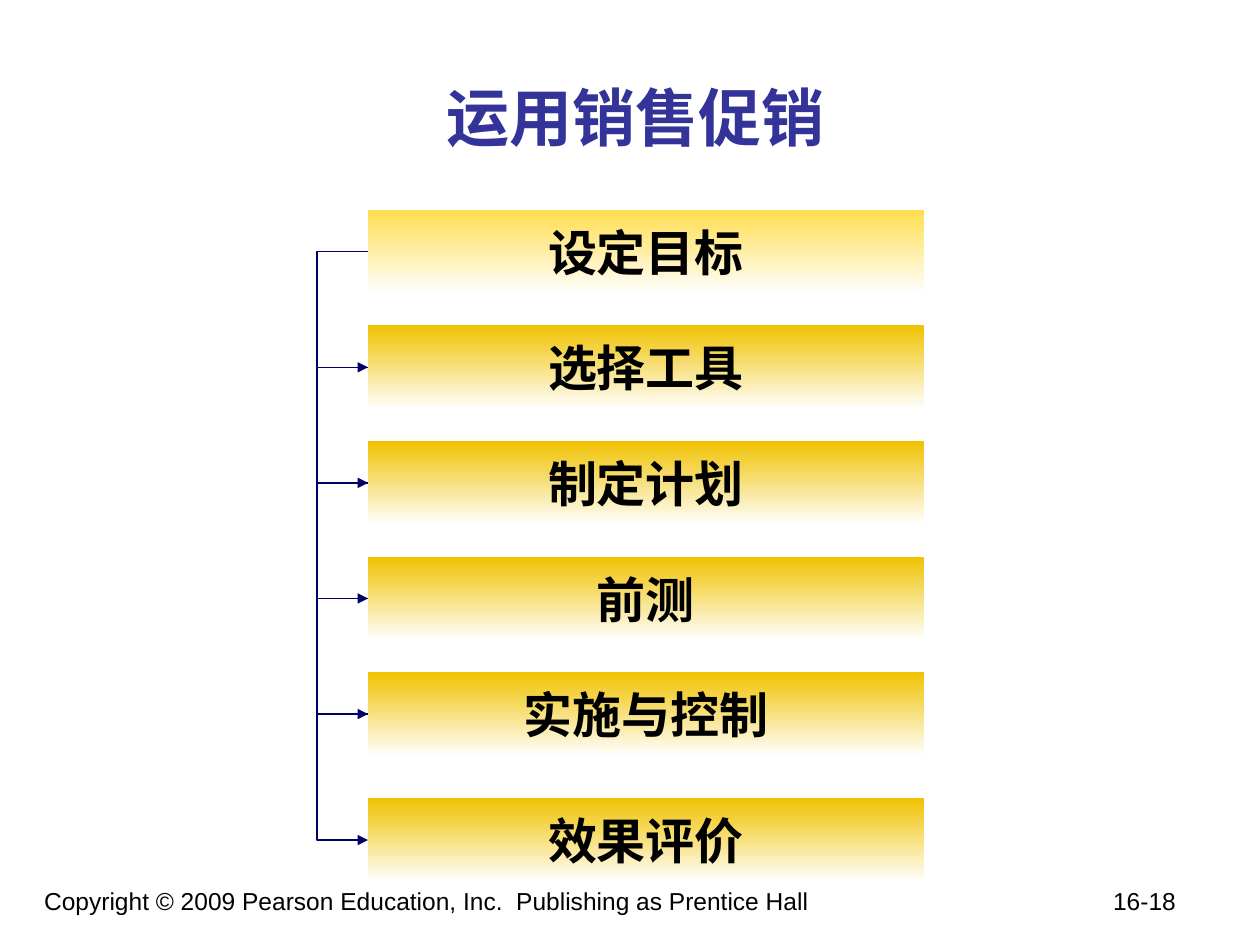
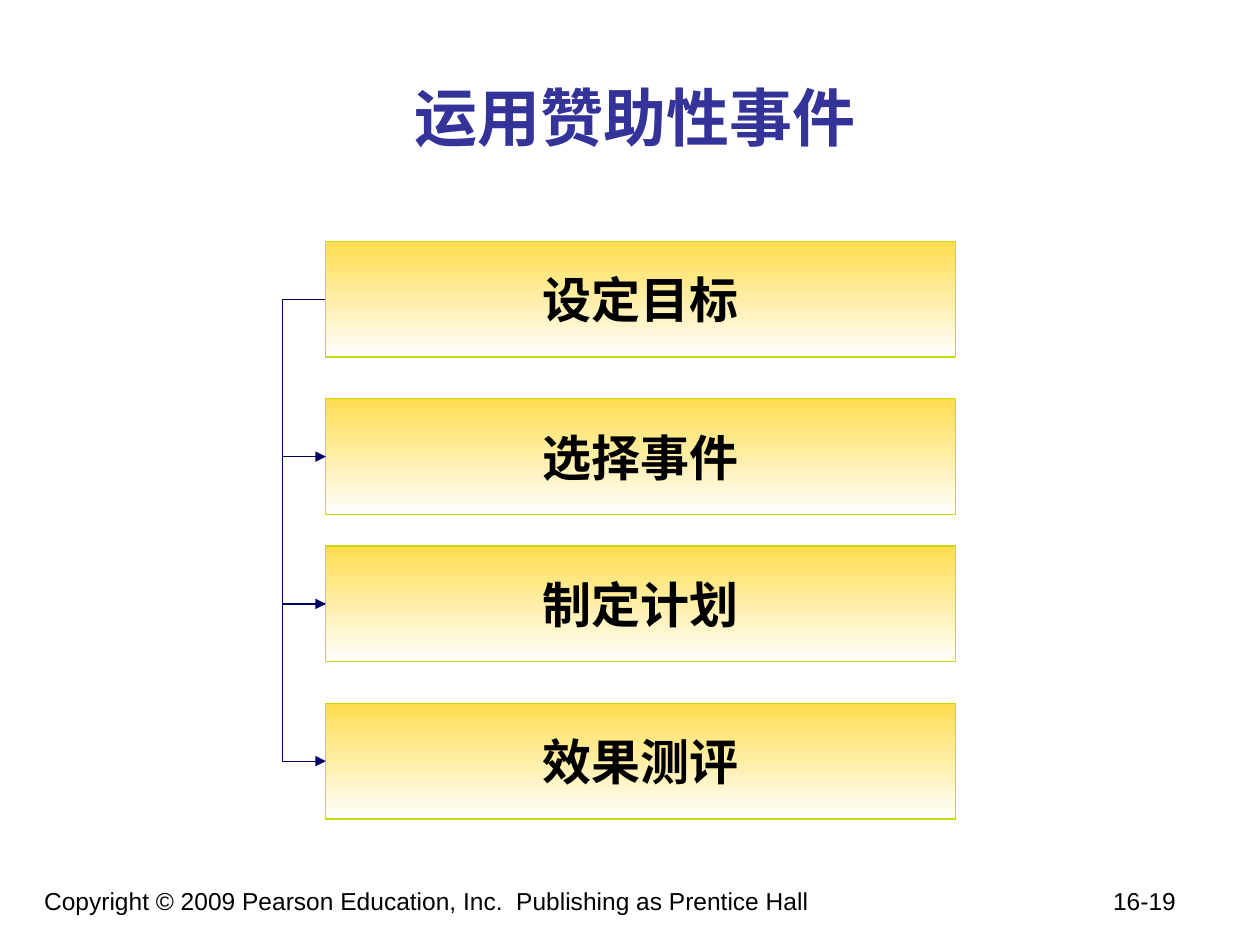
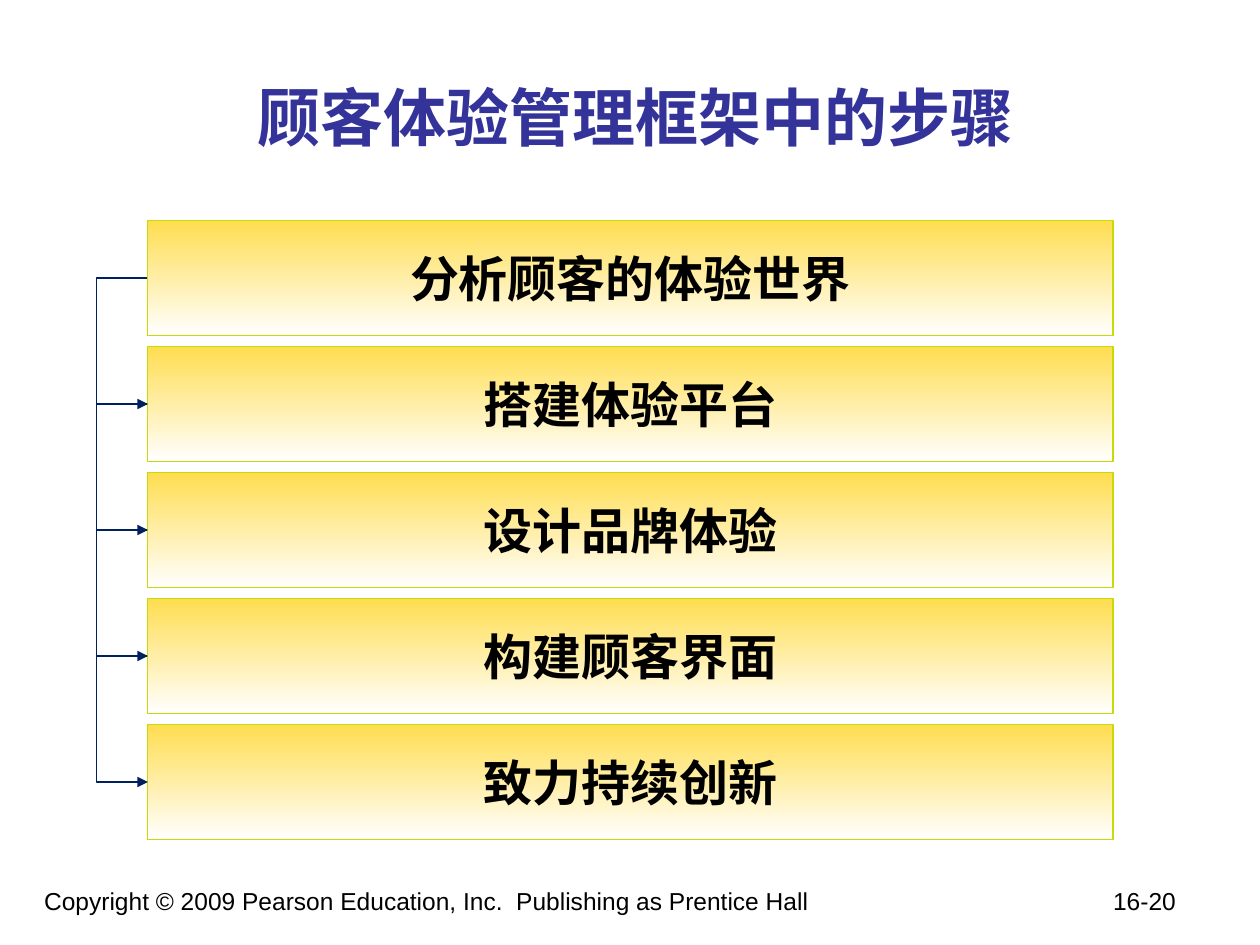
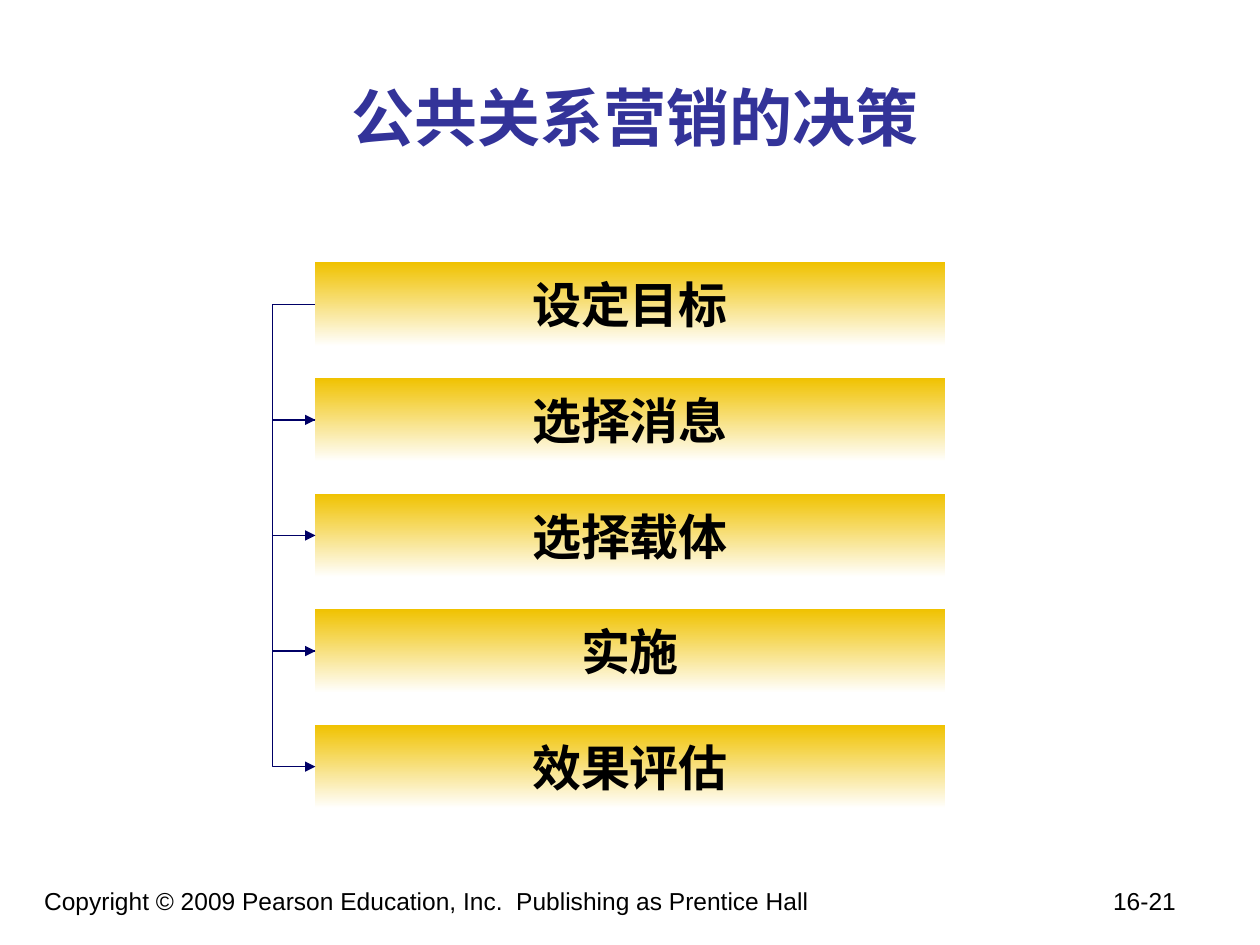
import pptx
import pptx.dml.color
import pptx.enum.shapes
import pptx.enum.text
import pptx.oxml
import pptx.oxml.ns
import pptx.util

Cm = pptx.util.Cm
Pt = pptx.util.Pt
RGBColor = pptx.dml.color.RGBColor
PP_ALIGN = pptx.enum.text.PP_ALIGN
MSO_ANCHOR = pptx.enum.text.MSO_ANCHOR

TITLE_BLUE = RGBColor(0x33, 0x33, 0x99)
BLACK = RGBColor(0, 0, 0)
WHITE = RGBColor(0xFF, 0xFF, 0xFF)
LIGHT_YELLOW = RGBColor(0xFF, 0xDD, 0x4F)
GOLD = RGBColor(0xF0, 0xC2, 0x00)
LIME = RGBColor(0xC7, 0xDB, 0x07)
NAVY = RGBColor(0x00, 0x00, 0x66)
DARK_BLUE = RGBColor(0x00, 0x20, 0x60)

LATIN_FONT = "Arial"
CJK_FONT = "Noto Sans CJK SC"
FOOTER = "Copyright © 2009 Pearson Education, Inc.  Publishing as Prentice Hall"
CHAPTER, FIRST_PAGE = 16, 18
PAGE_TAB = Cm(21.55)
LINE_WIDTH = Pt(0.75)
LEFT_SITE = 1
HALF_TURN = {"rot": "10800000", "flipH": "1", "flipV": "1"}


def stack(top, step, count):
    return [top + step * i for i in range(count)]


SLIDES = [
    {
        "title": "运用销售促销",
        "steps": ["设定目标", "选择工具", "制定计划", "前测", "实施与控制", "效果评价"],
        "tops": stack(4.23, 2.33, 5) + [16.09],
        "left": 7.41, "width": 11.22, "height": 1.69,
        "first_fill": LIGHT_YELLOW, "fill": GOLD, "border": None,
        "arrow": NAVY, "reach": 1.02,
    },
    {
        "title": "运用赞助性事件",
        "steps": ["设定目标", "选择事件", "制定计划", "效果测评"],
        "tops": [4.87, 8.04, 11.01, 14.18],
        "left": 6.56, "width": 12.7, "height": 2.33,
        "first_fill": LIGHT_YELLOW, "fill": LIGHT_YELLOW, "border": LIME,
        "arrow": NAVY, "reach": 0.86,
    },
    {
        "title": "顾客体验管理框架中的步骤",
        "steps": ["分析顾客的体验世界", "搭建体验平台", "设计品牌体验", "构建顾客界面", "致力持续创新"],
        "tops": stack(4.44, 2.54, 5),
        "left": 2.97, "width": 19.47, "height": 2.33,
        "first_fill": LIGHT_YELLOW, "fill": LIGHT_YELLOW, "border": LIME,
        "arrow": DARK_BLUE, "reach": 1.02,
    },
    {
        "title": "公共关系营销的决策",
        "steps": ["设定目标", "选择消息", "选择载体", "实施", "效果评估"],
        "tops": stack(5.29, 2.33, 5),
        "left": 6.35, "width": 12.7, "height": 1.69,
        "first_fill": GOLD, "fill": GOLD, "border": None,
        "arrow": NAVY, "reach": 0.86,
    },
]


def add_xml(parent, tag, **attrs):
    el = pptx.oxml.parse_xml(f'<{tag} {pptx.oxml.ns.nsdecls("a")}/>')
    for name, value in attrs.items():
        el.set(name, str(value))
    parent.append(el)
    return el


def write(sp, text, size, color, font=LATIN_FONT, bold=False,
          align=PP_ALIGN.LEFT, anchor=MSO_ANCHOR.TOP, wrap=True):
    tf = sp.text_frame
    tf.word_wrap = wrap
    tf.vertical_anchor = anchor
    p = tf.paragraphs[0]
    p.text = text
    p.alignment = align
    for r in p.runs:
        r.font.size = Pt(size)
        r.font.bold = bold
        r.font.color.rgb = color
        r.font.name = font
        add_xml(r._r.get_or_add_rPr(), "a:ea", typeface=CJK_FONT)
    return p


def add_title(s, text):
    sp = s.shapes.add_textbox(Cm(2.12), Cm(0.76), Cm(21.38), Cm(3.18))
    write(sp, text, 36, TITLE_BLUE, CJK_FONT, True, PP_ALIGN.CENTER, MSO_ANCHOR.MIDDLE)


def add_footer(s, page):
    sp = s.shapes.add_textbox(Cm(0.64), Cm(17.73), Cm(23.71), Cm(1.32))
    p = write(sp, f"{FOOTER}\t{CHAPTER}-{page}", 14, BLACK)
    tabs = add_xml(p._p.get_or_add_pPr(), "a:tabLst")
    add_xml(tabs, "a:tab", pos=PAGE_TAB, algn="l")


def add_step(s, text, box, color, border):
    sp = s.shapes.add_shape(pptx.enum.shapes.MSO_SHAPE.RECTANGLE, *map(Cm, box))
    sp.shadow.inherit = False
    sp.fill.gradient()
    sp.fill.gradient_angle = 270
    for stop, rgb in zip(sp.fill.gradient_stops, (color, WHITE)):
        stop.color.rgb = rgb
    if border is None:
        sp.line.fill.background()
    else:
        sp.line.color.rgb = border
        sp.line.width = LINE_WIDTH
    write(sp, text, 28, BLACK, bold=True, align=PP_ALIGN.CENTER,
          anchor=MSO_ANCHOR.MIDDLE, wrap=False)
    return sp


def add_arrow(s, upper, lower, color, reach):
    cxn = s.shapes.add_connector(pptx.enum.shapes.MSO_CONNECTOR.ELBOW, 0, 0, 0, 0)
    cxn.begin_connect(upper, LEFT_SITE)
    cxn.end_connect(lower, LEFT_SITE)
    cxn.width = Cm(0.01)
    cxn.line.color.rgb = color
    cxn.line.width = LINE_WIDTH
    add_xml(cxn.line._get_or_add_ln(), "a:tailEnd", type="triangle")
    spPr = cxn._element.spPr
    add_xml(spPr, "a:effectLst")
    for name, value in HALF_TURN.items():
        spPr.find(pptx.oxml.ns.qn("a:xfrm")).set(name, value)
    bend = -round(Cm(reach) / cxn.width * 100000)
    add_xml(spPr.find(".//" + pptx.oxml.ns.qn("a:avLst")), "a:gd",
            name="adj1", fmla=f"val {bend}")


def add_flow(s, flow):
    boxes = []
    for i, (text, top) in enumerate(zip(flow["steps"], flow["tops"])):
        color = flow["fill"] if i else flow["first_fill"]
        box = (flow["left"], top, flow["width"], flow["height"])
        boxes.append(add_step(s, text, box, color, flow["border"]))
    for upper, lower in zip(boxes, boxes[1:]):
        add_arrow(s, upper, lower, flow["arrow"], flow["reach"])


def main():
    prs = pptx.Presentation()
    prs.slide_width, prs.slide_height = Cm(25.4), Cm(19.05)
    for page, flow in enumerate(SLIDES, FIRST_PAGE):
        s = prs.slides.add_slide(prs.slide_layouts[6])
        add_footer(s, page)
        add_title(s, flow["title"])
        add_flow(s, flow)
    prs.save("out.pptx")


if __name__ == "__main__":
    main()
